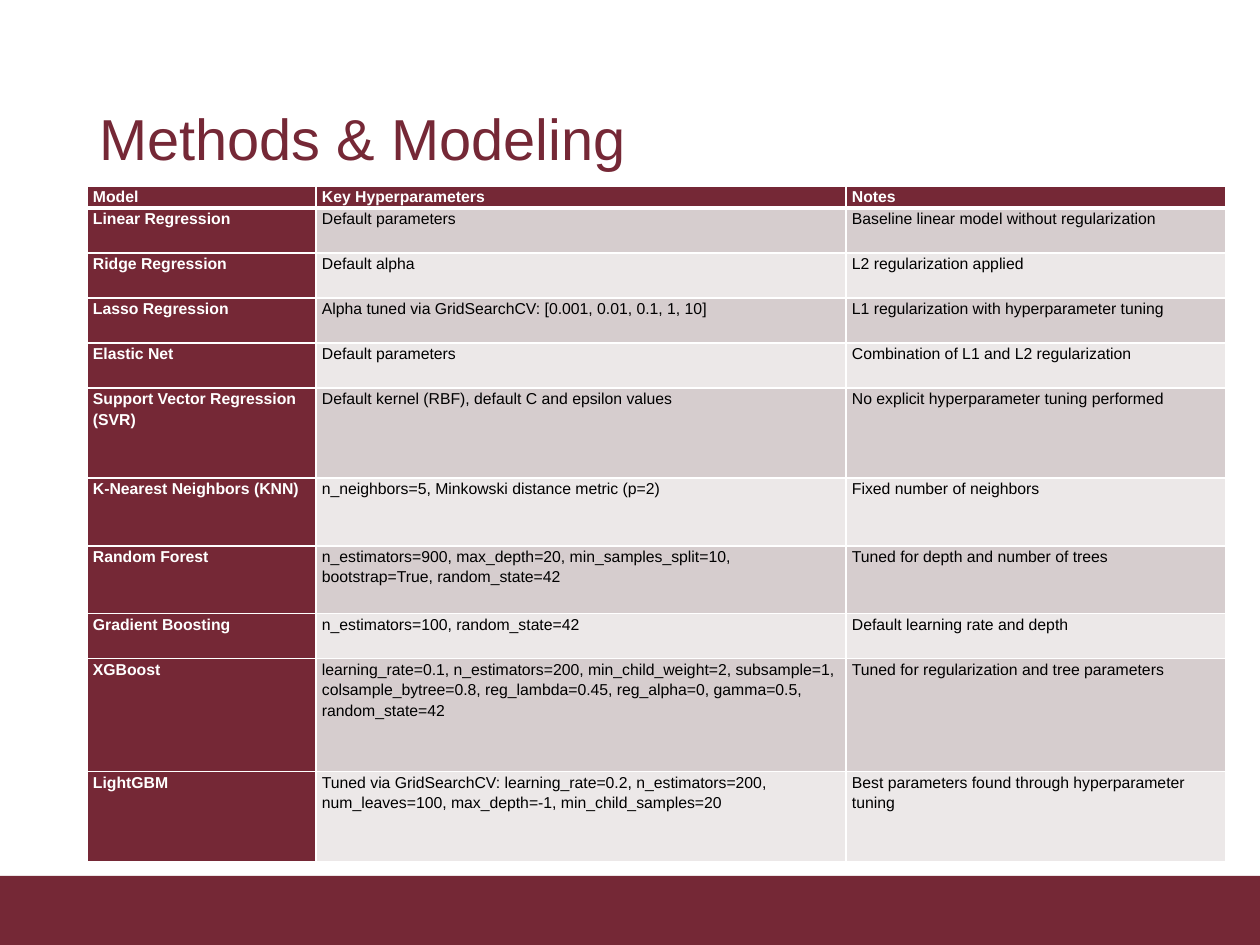
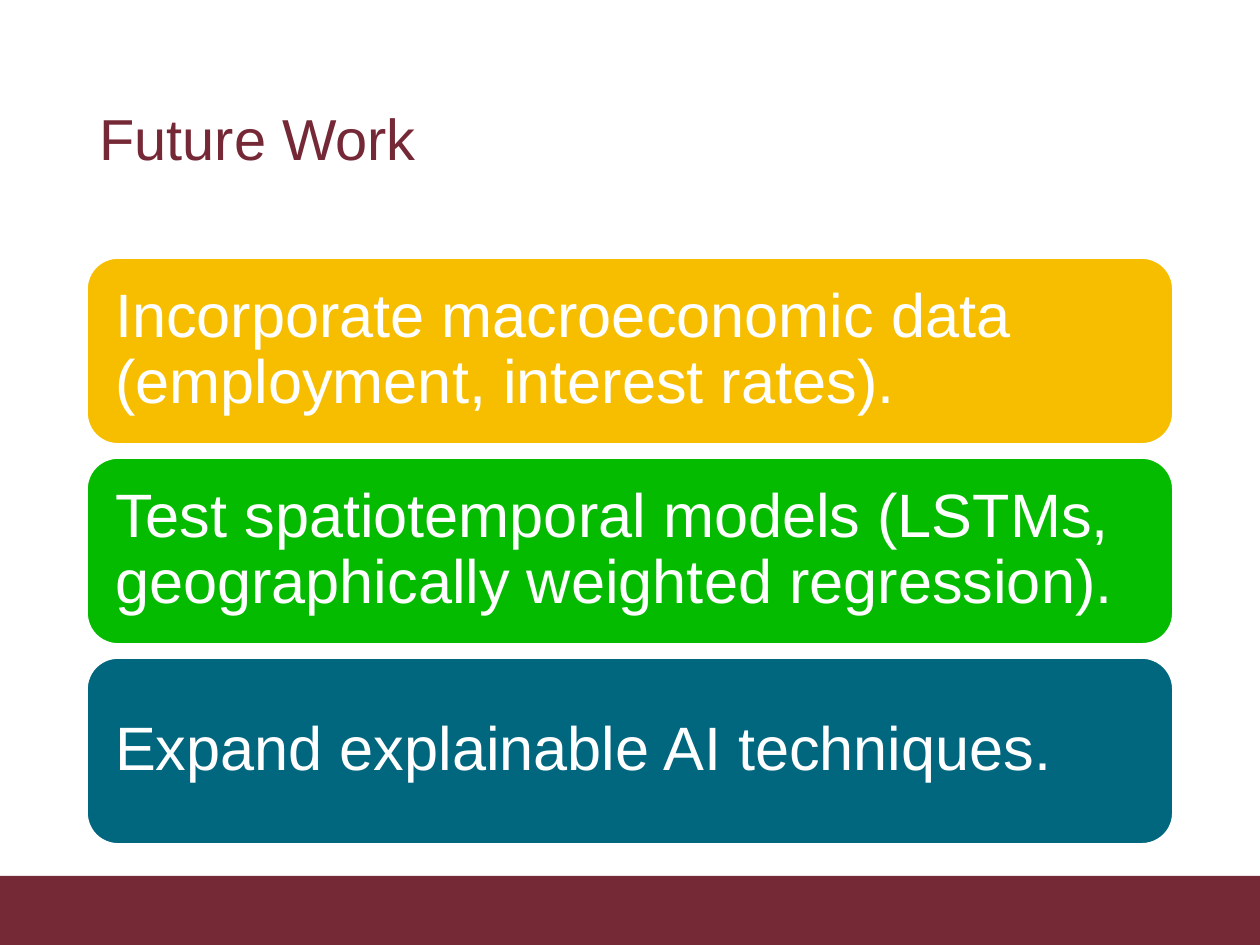
"""Build two slides: a table of models and a list of future work."""
import dataclasses

import lxml.etree
import pptx
import pptx.dml.color
import pptx.enum.shapes
import pptx.enum.text
import pptx.oxml.ns
import pptx.util

SCALE = 914400 / 126


@dataclasses.dataclass(frozen=True)
class Theme:
    font: str = "Arial"
    brand: str = "752836"
    white: str = "FFFFFF"
    black: str = "000000"
    bands: tuple = ("D6CDCE", "ECE8E8")
    cards: tuple = ("F7BE00", "04BB00", "00677F")
    title: int = 33
    card: int = 35
    cell: int = 9


def px(*sizes):
    return [pptx.util.Emu(round(size * SCALE)) for size in sizes]


def rgb(code):
    return pptx.dml.color.RGBColor.from_string(code)


class Deck:
    def __init__(self, theme):
        self.theme = theme
        self.file = pptx.Presentation()
        self.file.slide_width, self.file.slide_height = px(1260, 945)
        self.slide = None

    def page(self, title):
        self.slide = self.file.slides.add_slide(self.file.slide_layouts[6])
        self.shape("RECTANGLE", (0, 876, 1260, 69), self.theme.brand)
        box = self.slide.shapes.add_textbox(*px(87, 50, 1086, 183))
        frame = box.text_frame
        frame.word_wrap = True
        frame.vertical_anchor = pptx.enum.text.MSO_ANCHOR.MIDDLE
        self.label(frame, title, self.theme.title, self.theme.brand)

    def label(self, frame, text, size, color, bold=False, lead=0.9, after=0):
        para = frame.paragraphs[0]
        para.alignment = pptx.enum.text.PP_ALIGN.LEFT
        para.line_spacing = lead
        para.space_after = pptx.util.Pt(after)
        run = para.add_run()
        run.text = text
        run.font.name = self.theme.font
        run.font.size = pptx.util.Pt(size)
        run.font.bold = bold
        run.font.color.rgb = rgb(color)

    def shape(self, kind, place, fill, line=None):
        preset = pptx.enum.shapes.MSO_SHAPE[kind]
        shape = self.slide.shapes.add_shape(preset, *px(*place))
        shape.shadow.inherit = False
        shape.fill.solid()
        shape.fill.fore_color.rgb = rgb(fill)
        if line:
            shape.line.color.rgb = rgb(line)
            shape.line.width = pptx.util.Pt(1)
        else:
            shape.line.fill.background()
        return shape

    def card(self, place, text, fill):
        shape = self.shape("ROUNDED_RECTANGLE", place, fill, self.theme.white)
        frame = shape.text_frame
        frame.word_wrap = True
        frame.vertical_anchor = pptx.enum.text.MSO_ANCHOR.MIDDLE
        frame.margin_left, frame.margin_right = px(19, 19)
        frame.margin_top, frame.margin_bottom = px(19, 19)
        self.label(frame, text, self.theme.card, self.theme.white)

    def edge(self, cell, side, width):
        props = cell._tc.get_or_add_tcPr()
        name = pptx.oxml.ns.qn
        line = lxml.etree.SubElement(props, name("a:ln" + side),
                                     w=str(int(pptx.util.Pt(width))))
        fill = lxml.etree.SubElement(line, name("a:solidFill"))
        lxml.etree.SubElement(fill, name("a:srgbClr"), val=self.theme.white)

    def cell(self, cell, text, row, col):
        theme = self.theme
        for side in "LRTB":
            thick = (side, row) in (("B", 0), ("T", 1))
            self.edge(cell, side, 3 if thick else 1)
        head = row == 0 or col == 0
        cell.fill.solid()
        fill = theme.brand if head else theme.bands[(row - 1) % 2]
        cell.fill.fore_color.rgb = rgb(fill)
        cell.margin_left, cell.margin_right = px(6, 6)
        cell.margin_top, cell.margin_bottom = px(0, 0)
        self.label(cell.text_frame, text, theme.cell,
                   theme.white if head else theme.black, head, 1.15, 8)

    def table(self, left, top, widths, heights, rows):
        place = px(left, top, sum(widths), sum(heights))
        frame = self.slide.shapes.add_table(len(rows), len(widths), *place)
        grid = frame.table
        grid.first_row = grid.horz_banding = False
        for col, width in zip(grid.columns, px(*widths)):
            col.width = width
        for line, height in zip(grid.rows, px(*heights)):
            line.height = height
        for row, texts in enumerate(rows):
            for col, text in enumerate(texts):
                self.cell(grid.cell(row, col), text, row, col)


MODELS = (
    ("Model", "Key Hyperparameters", "Notes"),
    ("Linear Regression", "Default parameters",
     "Baseline linear model without regularization"),
    ("Ridge Regression", "Default alpha", "L2 regularization applied"),
    ("Lasso Regression",
     "Alpha tuned via GridSearchCV: [0.001, 0.01, 0.1, 1, 10]",
     "L1 regularization with hyperparameter tuning"),
    ("Elastic Net", "Default parameters",
     "Combination of L1 and L2 regularization"),
    ("Support Vector Regression (SVR)",
     "Default kernel (RBF), default C and epsilon values",
     "No explicit hyperparameter tuning performed"),
    ("K-Nearest Neighbors (KNN)",
     "n_neighbors=5, Minkowski distance metric (p=2)",
     "Fixed number of neighbors"),
    ("Random Forest",
     "n_estimators=900, max_depth=20, min_samples_split=10, "
     "bootstrap=True, random_state=42",
     "Tuned for depth and number of trees"),
    ("Gradient Boosting", "n_estimators=100, random_state=42",
     "Default learning rate and depth"),
    ("XGBoost",
     "learning_rate=0.1, n_estimators=200, min_child_weight=2, subsample=1, "
     "colsample_bytree=0.8, reg_lambda=0.45, reg_alpha=0, gamma=0.5, "
     "random_state=42",
     "Tuned for regularization and tree parameters"),
    ("LightGBM",
     "Tuned via GridSearchCV: learning_rate=0.2, n_estimators=200, "
     "num_leaves=100, max_depth=-1, min_child_samples=20",
     "Best parameters found through hyperparameter tuning"),
)
HEIGHTS = (21, 45, 45, 45, 45, 90, 68, 68, 45, 113, 90)
PLANS = (
    "Incorporate macroeconomic data (employment, interest rates).",
    "Test spatiotemporal models (LSTMs, geographically weighted regression).",
    "Expand explainable AI techniques.",
)


def main():
    deck = Deck(Theme())
    deck.page("Methods & Modeling")
    deck.table(87, 186, (229, 530, 380), HEIGHTS, MODELS)
    deck.page("Future Work")
    for step, (plan, fill) in enumerate(zip(PLANS, deck.theme.cards)):
        deck.card((87, 258 + 200 * step, 1086, 186), plan, fill)
    deck.file.save("out.pptx")


if __name__ == "__main__":
    main()
